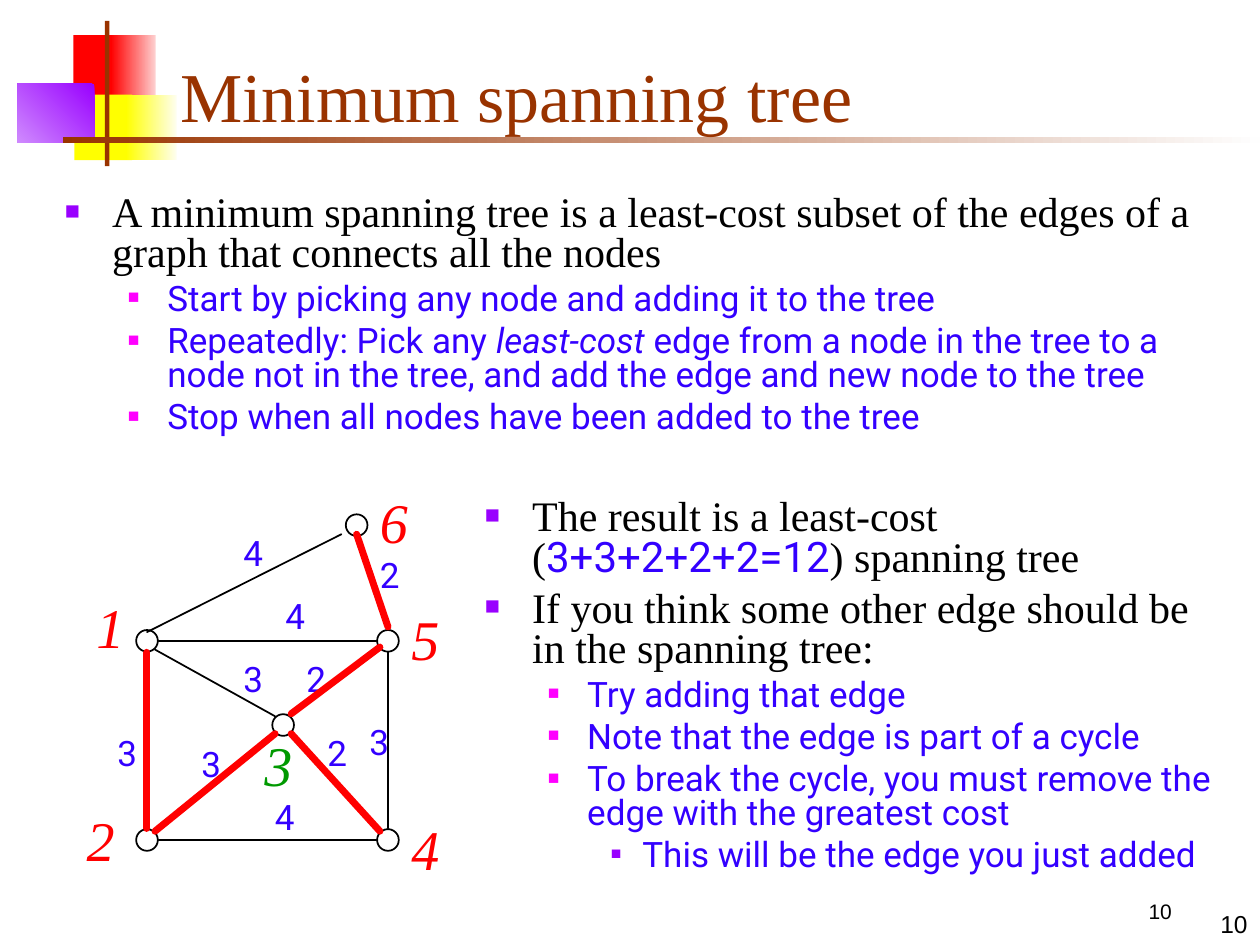
from dataclasses import dataclass

from lxml import etree
from pptx import Presentation
from pptx.dml.color import RGBColor
from pptx.enum.shapes import MSO_CONNECTOR as CONN, MSO_SHAPE as SHAPE
from pptx.enum.text import MSO_ANCHOR as ANCHOR, PP_ALIGN as ALIGN
from pptx.oxml.ns import qn
from pptx.util import Pt


@dataclass(frozen=True)
class Theme:
    serif: str = "Times New Roman"
    sans: str = "Roboto"
    plain: str = "Arial"
    brown: str = "993300"
    black: str = "000000"
    red: str = "FF0000"
    yellow: str = "FFFF00"
    violet: str = "9900FF"
    magenta: str = "FF00FF"
    blue: str = "3300FF"
    green: str = "009900"
    title: int = 40
    node: int = 32
    body: int = 24
    sub: int = 20
    page: int = 14
    small: int = 12


T = Theme()

# Per outline level: indent, hanging, space before, bullet colour, bullet %, run format
LEVELS = [
    (27, 27, 6, T.violet, 60, dict(size=T.body, font=T.serif, color=T.black)),
    (58.5, 22.5, 5, T.magenta, 55, dict(size=T.sub, font=T.sans, color=T.blue)),
    (90, 18, 5, T.violet, 50, dict(size=T.sub, font=T.sans, color=T.blue)),
]
INTRO = [
    (0, ["A minimum spanning tree is a least-cost subset of the edges of a "
         "graph that connects all the nodes"]),
    (1, ["Start by picking any node and adding it to the tree"]),
    (1, ["Repeatedly: Pick any ", ("least-cost", dict(italic=True)),
         " edge from a node in the tree to a node not in the tree, "
         "and add the edge and new node to the tree"]),
    (1, ["Stop when all nodes have been added to the tree"]),
]
RESULT = [
    (0, ["The result is a least-cost (",
         ("3+3+2+2+2=12", dict(font=T.sans, color=T.blue)), ") spanning tree"]),
    (0, ["If you think some other edge should be in the spanning tree:"]),
    (1, ["Try adding that edge"]),
    (1, ["Note that the edge is part of a cycle"]),
    (1, ["To break the cycle, you must remove the edge with the greatest cost"]),
    (2, ["This will be the edge you just added"]),
]

# Graph: node centre, then the left and top of the node's label
RADIUS = 6.2
NODES = {
    1: (84, 366.2, 48, 335), 2: (84, 480, 42.5, 456.5),
    3: (161.8, 414.3, 144, 414), 4: (221.7, 480, 228, 462),
    5: (221.7, 366.2, 228, 342), 6: (203.8, 300.1, 210, 275),
}
# Points around a node where edges attach
N, S, E, W = (0, -6.6), (0, 6.6), (6.6, 0), (-6.6, 0)
NE, NW, SE, SW = (4.6, -5), (-4.6, -5), (4.6, 5), (-4.6, 5)
# From, to, attachment at each end, cost, left and top of the cost label
EDGES = [
    (1, 2, S, N, 3, 60, 414.5), (2, 4, E, W, 4, 150, 451),
    (4, 5, N, S, 3, 204, 408), (1, 5, E, W, 4, 156, 336),
    (1, 6, (0, -5), (-8.7, 5.2), 4, 132, 300), (6, 5, S, N, 2, 210, 312.5),
    (1, 3, SE, NW, 3, 132, 372), (3, 5, NE, SW, 2, 168, 372),
    (3, 2, SW, NE, 3, 108, 420.5), (3, 4, SE, NW, 2, 180, 414.5),
]
# Edges of the spanning tree, with how far each is lifted off its thin line
TREE = {(1, 2): 0, (3, 2): 0, (3, 4): 0, (3, 5): 1.4, (6, 5): 1.4}


def rgb(value):
    return RGBColor.from_string(value)


def add_run(p, text, size=T.body, font=T.serif, color=T.black, italic=False):
    r = p.add_run()
    r.text = text
    r.font.size, r.font.name, r.font.italic = Pt(size), font, italic
    r.font.color.rgb = rgb(color)


def add_frame(s, x, y, w, h, anchor=ANCHOR.TOP):
    tf = s.shapes.add_textbox(Pt(x), Pt(y), Pt(w), Pt(h)).text_frame
    tf.word_wrap, tf.vertical_anchor = True, anchor
    return tf


def add_text(s, text, x, y, w, h, align=ALIGN.LEFT, anchor=ANCHOR.TOP, **fmt):
    p = add_frame(s, x, y, w, h, anchor).paragraphs[0]
    p.alignment = align
    add_run(p, text, **fmt)


def set_bullet(p, indent, hanging, color, percent):
    pPr = p._p.get_or_add_pPr()
    pPr.set("marL", str(Pt(indent)))
    pPr.set("indent", str(-Pt(hanging)))
    clr = etree.SubElement(pPr, qn("a:buClr"))
    etree.SubElement(clr, qn("a:srgbClr"), val=color)
    etree.SubElement(pPr, qn("a:buSzPct"), val=str(percent * 1000))
    etree.SubElement(pPr, qn("a:buFont"), typeface=T.plain)
    etree.SubElement(pPr, qn("a:buChar"), char="■")


def add_outline(s, items, x, y, w, h):
    tf = add_frame(s, x, y, w, h)
    for i, (level, parts) in enumerate(items):
        p = tf.add_paragraph() if i else tf.paragraphs[0]
        indent, hanging, before, color, percent, fmt = LEVELS[level]
        p.level, p.line_spacing, p.space_before = level, 0.8, Pt(before)
        set_bullet(p, indent, hanging, color, percent)
        for part in parts:
            text, extra = (part, {}) if isinstance(part, str) else part
            add_run(p, text, **{**fmt, **extra})


def add_block(s, x, y, w, h, *colors, angle=180):
    """Rectangle with a solid fill, or a gradient when two colours are given."""
    sp = s.shapes.add_shape(SHAPE.RECTANGLE, Pt(x), Pt(y), Pt(w), Pt(h))
    sp.shadow.inherit = False
    sp.line.fill.background()
    if len(colors) == 1:
        sp.fill.solid()
        sp.fill.fore_color.rgb = rgb(colors[0])
        return
    sp.fill.gradient()
    sp.fill.gradient_angle = angle
    for stop, position, color in zip(sp.fill.gradient_stops, (0, 1), colors):
        stop.position, stop.color.rgb = position, rgb(color)


def add_node(s, x, y):
    d = Pt(2 * RADIUS)
    sp = s.shapes.add_shape(SHAPE.OVAL, Pt(x - RADIUS), Pt(y - RADIUS), d, d)
    sp.shadow.inherit = False
    sp.fill.background()
    sp.line.color.rgb, sp.line.width = rgb(T.black), Pt(1)


def add_edge(s, a, b, site_a, site_b, color=T.black, width=1, lift=0):
    (ax, ay), (bx, by) = NODES[a][:2], NODES[b][:2]
    cx = s.shapes.add_connector(
        CONN.STRAIGHT, Pt(ax + site_a[0]), Pt(ay + site_a[1] - lift),
        Pt(bx + site_b[0]), Pt(by + site_b[1] - lift))
    cx.line.color.rgb, cx.line.width = rgb(color), Pt(width)
    cx.line._get_or_add_ln().set("cap", "rnd")
    etree.SubElement(cx._element.spPr, qn("a:effectLst"))


def add_decoration(s):
    add_block(s, 42, 20, 25.5, 37.5, T.red)
    add_block(s, 63.5, 20, 25.5, 37.5, "FED0D0", T.red)
    add_block(s, 42.5, 54, 33, 37.5, T.yellow)
    add_block(s, 72, 54, 29, 37.5, "FEFEEF", T.yellow)
    add_block(s, 10, 48, 44, 33.5, T.violet, "CF8AFE", angle=225)
    add_block(s, 60, 12, 2.5, 83, T.brown)
    add_block(s, 36, 78, 684, 4, "FEFEFE", T.brown)


def add_graph(s):
    for number, (x, y, left, top) in NODES.items():
        add_node(s, x, y)
        add_text(s, str(number), left, top, 36, 45, size=T.node, italic=True,
                 color=T.green if number == 3 else T.red)
    for *ends, cost, left, top in EDGES:
        add_edge(s, *ends)
        add_text(s, str(cost), left, top, 18, 31,
                 size=T.sub, font=T.sans, color=T.blue)
    for a, b, site_a, site_b, *_ in EDGES:
        if (a, b) in TREE:
            add_edge(s, a, b, site_a, site_b, T.red, 4, TREE[a, b])


def main():
    prs = Presentation()
    prs.slide_width, prs.slide_height = Pt(720), Pt(540)
    s = prs.slides.add_slide(prs.slide_layouts[6])

    # Corner blocks and title
    add_decoration(s)
    add_text(s, "Minimum spanning tree", 96, 24, 613.5, 60,
             anchor=ANCHOR.MIDDLE, size=T.title, color=T.brown)

    # Explanation and graph
    add_outline(s, INTRO, 30, 108, 675, 173)
    add_outline(s, RESULT, 270, 282, 432, 246)
    add_graph(s)

    # Page numbers
    add_text(s, "10", 624, 510, 78, 24, align=ALIGN.CENTER,
             size=T.small, font=T.plain)
    add_text(s, "10", 570, 504, 150, 36, align=ALIGN.RIGHT,
             anchor=ANCHOR.BOTTOM, size=T.page, font=T.plain)
    prs.save("out.pptx")


if __name__ == "__main__":
    main()
